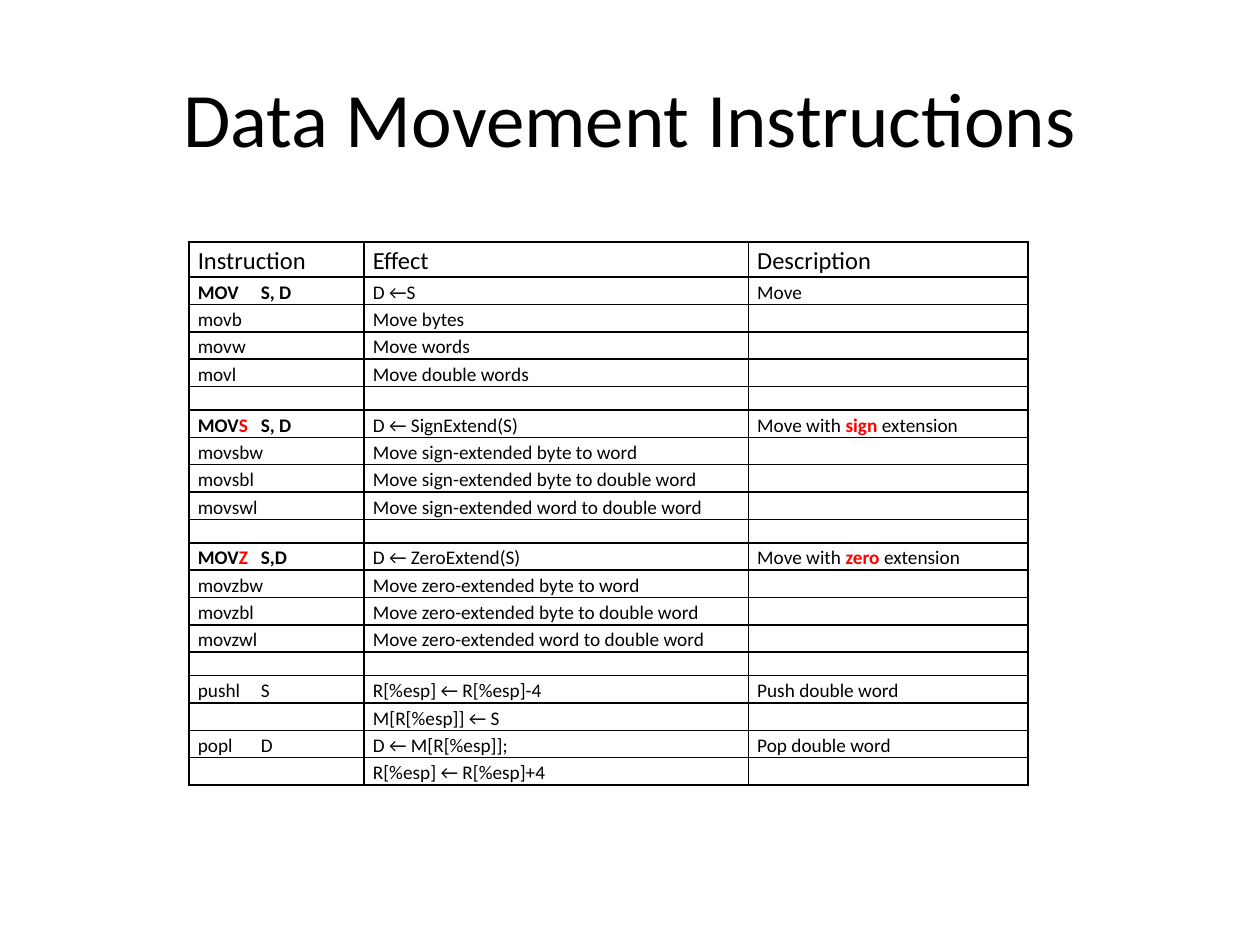
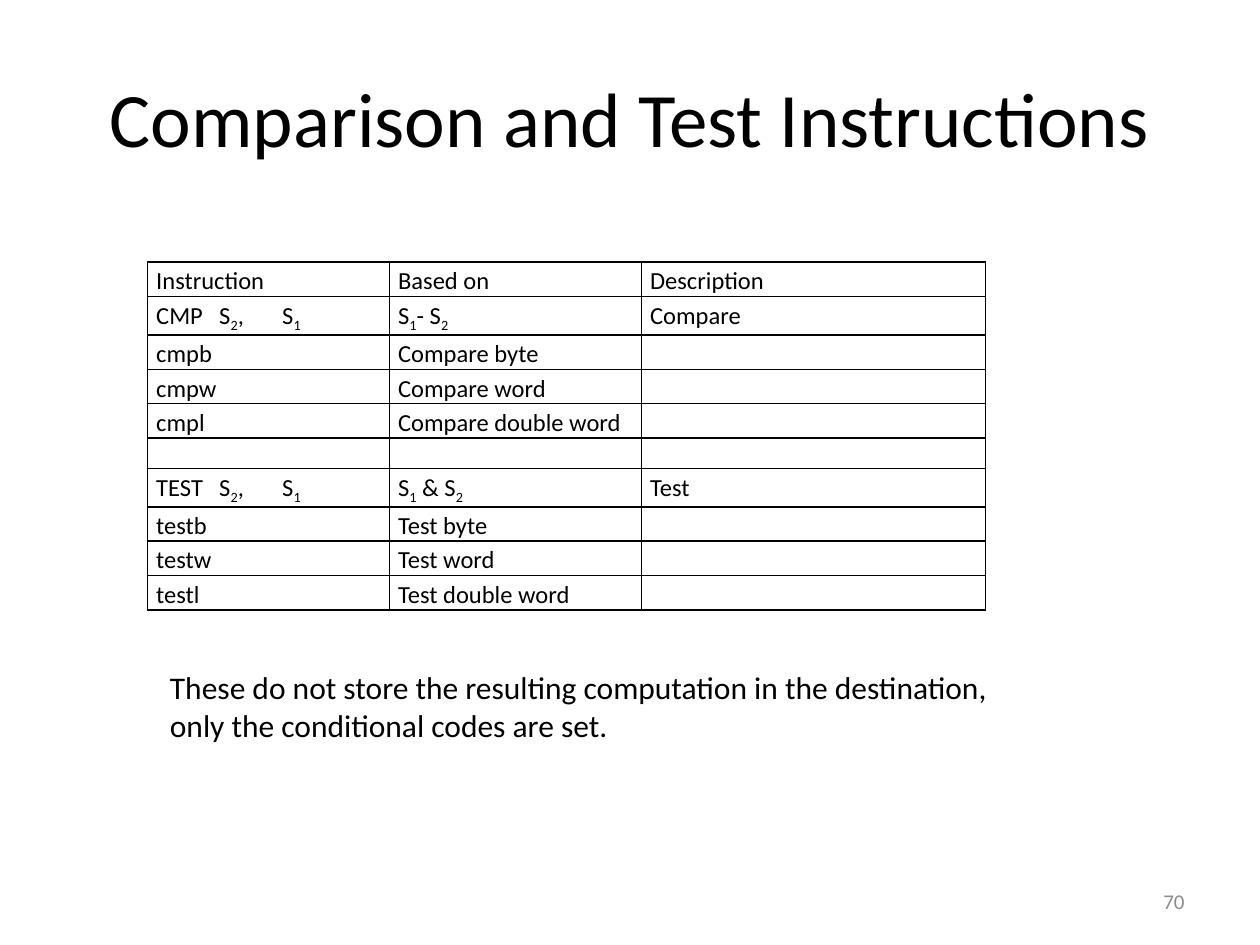
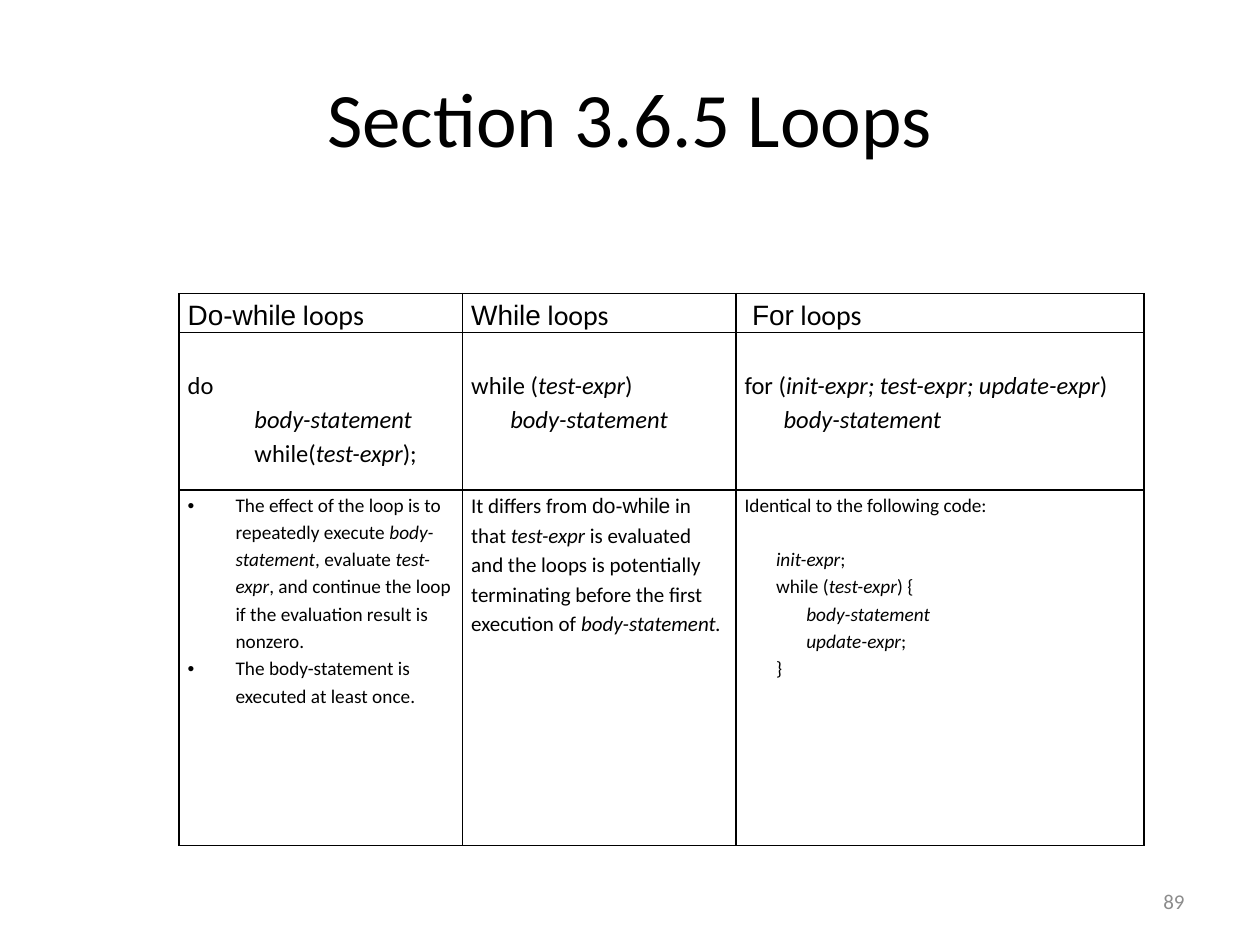
from dataclasses import dataclass

from lxml.etree import SubElement
from pptx import Presentation
from pptx.dml.color import RGBColor
from pptx.enum.text import MSO_ANCHOR as Anchor, PP_ALIGN as Align
from pptx.oxml import parse_xml
from pptx.oxml.ns import nsdecls, qn
from pptx.util import Inches, Pt

BLACK, RED, GREY = "000000", "FF0000", "8C8C8C"
FONT, ALT_FONT = "Calibri", "Arial"
LINE_SPACING = 1.15
TITLE_BOX = (0.5, 0.3, 9, 1.25)
NUMBER_BOX = (7.17, 6.95, 2.33, 0.4)


def rgb(value):
    """Turn a hex string into a colour."""
    return RGBColor.from_string(value)


@dataclass
class Line:
    """One paragraph: plain strings or (text, style letters) runs."""
    runs: tuple
    size: float = 11
    indent: float = 0
    before: float = 0
    tabs: tuple = ()
    bullet: bool = False


def add_run(p, text, size, style="", color=BLACK):
    """Add a run; letters mean b bold, i italic, r red, s subscript, a Arial."""
    r = p.add_run()
    r.text = text
    f = r.font
    f.size, f.name = Pt(size), ALT_FONT if "a" in style else FONT
    f.bold, f.italic = "b" in style, "i" in style
    f.color.rgb = rgb(RED if "r" in style else color)
    if "s" in style:
        f._element.set("baseline", "-25000")


def fill_paragraph(p, line):
    """Write one Line into a paragraph."""
    p.line_spacing = LINE_SPACING
    if line.before:
        p.space_before = Pt(line.before)
    pPr = p._p.get_or_add_pPr()
    pPr.set("marL", str(Inches(line.indent)))
    pPr.set("indent", str(Inches(-line.indent if line.bullet else 0)))
    if line.bullet:
        SubElement(pPr, qn("a:buFont"), typeface=ALT_FONT)
        SubElement(pPr, qn("a:buChar"), char="•")
    if line.tabs:
        tab_list = SubElement(pPr, qn("a:tabLst"))
        for pos in line.tabs:
            SubElement(tab_list, qn("a:tab"), pos=str(Inches(pos)), algn="l")
    for run in line.runs:
        text, style = (run, "") if isinstance(run, str) else run
        add_run(p, text, line.size, style)


def format_cell(cell, top):
    """Clear the fill, set the margins and draw a border on every side."""
    cell.margin_left = cell.margin_right = Inches(0.07)
    cell.margin_top, cell.margin_bottom = Inches(top), 0
    cell.fill.background()
    tcPr = cell._tc.get_or_add_tcPr()
    for i, side in enumerate("LRTB"):
        tcPr.insert(i, parse_xml(
            f'<a:ln{side} {nsdecls("a")} w="{Pt(1)}"><a:solidFill>'
            f'<a:srgbClr val="{BLACK}"/></a:solidFill></a:ln{side}>'))


def add_grid(s, left, top, cols, heights, rows, empty_size=11, tops=None):
    """Place a bordered table whose cells are lists of Lines."""
    table = s.shapes.add_table(
        len(rows), len(cols), Inches(left), Inches(top),
        Inches(sum(cols)), Inches(sum(heights))).table
    table.first_row = table.horz_banding = False
    for col, width in zip(table.columns, cols):
        col.width = Inches(width)
    for i, (row, height) in enumerate(zip(rows, heights)):
        table.rows[i].height = Inches(height)
        for cell, lines in zip(table.rows[i].cells, row):
            format_cell(cell, tops[i] if tops else 0)
            tf = cell.text_frame
            for k, line in enumerate(lines):
                fill_paragraph(tf.add_paragraph() if k else tf.paragraphs[0], line)
            if not lines:
                SubElement(tf.paragraphs[0]._p, qn("a:endParaRPr"),
                           sz=str(empty_size * 100))


def add_text(s, box, text, size, align=Align.LEFT, anchor=Anchor.TOP, color=BLACK):
    """Place a one-paragraph text box."""
    tf = s.shapes.add_textbox(*map(Inches, box)).text_frame
    tf.word_wrap, tf.vertical_anchor = True, anchor
    p = tf.paragraphs[0]
    p.alignment = align
    add_run(p, text, size, color=color)


def new_slide(prs, title, number=None):
    """Add a blank slide with the shared title and slide number."""
    s = prs.slides.add_slide(prs.slide_layouts[6])
    add_text(s, TITLE_BOX, title, 44, Align.CENTER, Anchor.MIDDLE)
    if number:
        add_text(s, NUMBER_BOX, number, 12, Align.RIGHT, Anchor.MIDDLE, GREY)
    return s


def instruction_rows(rows, size, tabs):
    """Turn rows of run tuples into cells, the first row being 14 point."""
    return [[[Line(runs, size if i else 14, tabs=() if c else tabs)] if runs else []
             for c, runs in enumerate(row)] for i, row in enumerate(rows)]


def plain(*texts):
    """Make a row of unstyled cells."""
    return [(t,) if t else () for t in texts]


def extension_group(letter, word, operands):
    """Rows of one extending move family, with the blank row before it."""
    name = word.capitalize()
    sizes = [("bw", "byte to word"), ("bl", "byte to double word"),
             ("wl", "word to double word")]
    return [
        plain("", "", ""),
        [(("MOV", "b"), (letter.upper(), "br"), ("\t" + operands, "b")),
         (f"D ← {name}Extend(S)",),
         ("Move with ", (word, "br"), " extension")],
        *[plain(f"mov{letter}{suffix}", f"Move {word}-extended {what}", "")
          for suffix, what in sizes]]


def movement_slide(prs):
    """Data movement instruction table."""
    s = new_slide(prs, "Data Movement Instructions")
    rows = [
        plain("Instruction", "Effect", "Description"),
        [(("MOV\tS, D", "b"),), ("D ←S",), ("Move",)],
        plain("movb", "Move bytes", ""),
        plain("movw", "Move words", ""),
        plain("movl", "Move double words", ""),
        *extension_group("s", "sign", "S, D"),
        *extension_group("z", "zero", "S,D"),
        plain("", "", ""),
        plain("pushl\tS", "R[%esp] ← R[%esp]-4", "Push double word"),
        plain("", "M[R[%esp]] ← S", ""),
        plain("popl\tD", "D ← M[R[%esp]];", "Pop double word"),
        plain("", "R[%esp] ← R[%esp]+4", "")]
    heights = [0.28] + [0.217 if any(row) else 0.187 for row in rows[1:]]
    add_grid(s, 1.5, 1.92, (1.39, 3.05, 2.22), heights,
             instruction_rows(rows, 11, (0.81,)))


def test_group(name, joint):
    """Rows of one comparing family."""
    low = name.lower()
    verb = {"CMP": "Compare"}.get(name, name.capitalize())
    first, second = ("1", "s"), ("2", "s")
    return [
        [(name + "\tS", second, ",\tS", first),
         ("S", first, joint + " S", second), (verb,)],
        *[plain(low + word[0] if word != "double word" else low + "l",
                f"{verb} {word}", "")
          for word in ("byte", "word", "double word")]]


def comparison_slide(prs):
    """Comparison and test instruction table with a remark."""
    s = new_slide(prs, "Comparison and Test Instructions", "70")
    rows = [plain("Instruction", "Based on", "Description"),
            *test_group("CMP", "-"), plain("", "", ""), *test_group("TEST", " &")]
    group = [0.3] + [0.273] * 3
    add_grid(s, 1.17, 2.08, (1.92, 2, 2.73), [0.273, *group, 0.24, *group],
             instruction_rows(rows, 14, (0.9, 1.32)), empty_size=14)
    add_text(s, (1.25, 5.25, 6.75, 0.71),
             "These do not store the resulting computation in the destination, "
             "only the conditional codes are set.", 18)


def loops_slide(prs):
    """Table of the three loop forms."""
    s = new_slide(prs, "Section 3.6.5 Loops", "89")
    body, test, update = [(n, "i") for n in
                          ("body-statement", "test-expr", "update-expr")]
    heads = [[Line(((name, "a"), " loops"), 16, indent)] for name, indent in
             (("Do-while", 0), ("While", 0), ("For", 0.06))]
    syntax = [
        [Line(("do",), 14), Line((body,), 14, 0.53),
         Line(("while(", test, ");"), 14, 0.53)],
        [Line(("while (", test, ")"), 14), Line((body,), 14, 0.31)],
        [Line(("for (", ("init-expr; test-expr; update-expr", "i"), ")"), 14),
         Line((body,), 14, 0.31)]]
    meaning = [
        [Line(("The effect of the loop is to repeatedly execute ", body,
               ", evaluate ", test, ", and continue the loop if the "
               "evaluation result is nonzero."), indent=0.38, bullet=True),
         Line(("The body-statement is executed at least once.",),
              indent=0.38, bullet=True)],
        [Line(("It differs from ", ("do-while", "a"), " in that ", test,
               " is evaluated and the loops is potentially terminating before "
               "the first execution of ", ("body-statement.", "i")), 12)],
        [Line(("Identical to the following code:",)),
         Line((("init-expr", "i"), ";"), indent=0.25, before=15.6),
         Line(("while (", test, ") {"), indent=0.25),
         Line((body,), indent=0.49),
         Line((update, ";"), indent=0.49),
         Line(("}",), indent=0.25)]]
    add_grid(s, 1.42, 2.33, (2.25, 2.17, 3.24), (0.31, 1.25, 2.82),
             [heads, syntax, meaning], tops=(0, 0.27, 0))


prs = Presentation()
prs.slide_width, prs.slide_height = Inches(10), Inches(7.5)
movement_slide(prs)
comparison_slide(prs)
loops_slide(prs)
prs.save("out.pptx")
